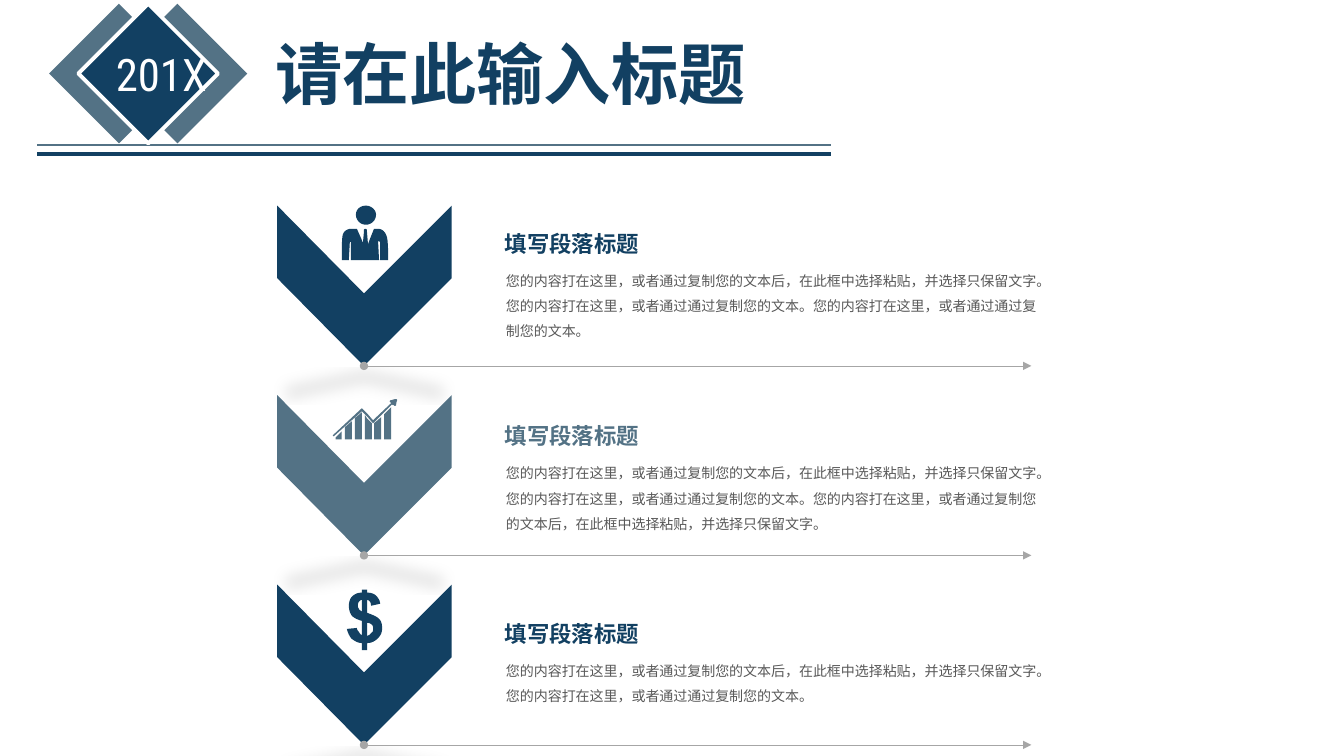
from pptx import Presentation
from pptx.dml.color import RGBColor
from pptx.enum.shapes import MSO_CONNECTOR, MSO_SHAPE
from pptx.enum.text import MSO_AUTO_SIZE
from pptx.oxml.ns import qn
from pptx.util import Inches, Pt
from lxml import etree

STRAIGHT = MSO_CONNECTOR.STRAIGHT
ROUNDED = MSO_SHAPE.ROUNDED_RECTANGLE
GROW = MSO_AUTO_SIZE.SHAPE_TO_FIT_TEXT
COLORS = {"navy": "124062", "slate": "537285", "white": "FFFFFF",
          "body": "595959", "arrow": "A6A6A6"}
HEADING_FONT = "Montserrat"
TEXT_FONT = "Roboto Condensed"
ROW_STEP = 1.88

CHEVRON = ["M 4.48 2.76 L 3.61 3.63 L 2.75 2.76 L 2.75 2.04 L 3.61 2.91 L 4.48 2.04"]
PERSON = [
    """M 3.63 2.27 L 3.64 2.28 L 3.64 2.3 L 3.65 2.42 L 3.63 2.48 L 3.67 2.37 L 3.71 2.27
    L 3.75 2.27 C 3.77 2.27 3.81 2.28 3.83 2.33 C 3.85 2.36 3.85 2.48 3.85 2.58
    L 3.77 2.58 L 3.77 2.4 L 3.75 2.39 L 3.76 2.58 L 3.48 2.58 L 3.48 2.4 L 3.47 2.4
    L 3.46 2.58 L 3.39 2.58 C 3.39 2.48 3.39 2.36 3.4 2.33 C 3.41 2.29 3.45 2.27 3.48 2.27
    L 3.54 2.27 L 3.58 2.36 L 3.6 2.41 L 3.61 2.3 L 3.61 2.28 L 3.62 2.27""",
    """M 3.63 2.04 C 3.68 2.04 3.73 2.08 3.73 2.13 C 3.73 2.19 3.68 2.23 3.63 2.23
    C 3.57 2.23 3.53 2.18 3.53 2.13 C 3.53 2.08 3.57 2.04 3.63 2.04""",
]
GROWTH = [
    "M 3.39 4.28 L 3.39 4.36 L 3.33 4.36 L 3.33 4.34",
    "M 3.49 4.18 L 3.49 4.36 L 3.42 4.36 L 3.42 4.24",
    "M 3.59 4.09 L 3.59 4.36 L 3.52 4.36 L 3.52 4.15",
    "M 3.62 4.12 L 3.64 4.15 L 3.69 4.2 L 3.69 4.36 L 3.62 4.36",
    "M 3.78 4.14 L 3.78 4.36 L 3.71 4.36 L 3.71 4.2",
    "M 3.88 4.04 L 3.88 4.36 L 3.81 4.36 L 3.81 4.11",
    """M 3.92 3.96 C 3.93 3.96 3.94 3.96 3.94 3.97 C 3.93 3.99 3.93 4.01 3.93 4.02
    C 3.92 4.03 3.91 4.03 3.91 4.02 C 3.9 4.02 3.89 4.02 3.89 4.01 L 3.7 4.2 L 3.64 4.13
    L 3.59 4.08 L 3.31 4.33 L 3.3 4.32 L 3.59 4.05 L 3.64 4.1 L 3.7 4.17 L 3.88 4
    L 3.87 3.99 C 3.86 3.98 3.87 3.97 3.88 3.97 C 3.89 3.97 3.91 3.96 3.92 3.96""",
]
DOLLAR = [
    """M 3.59 6.3 L 3.59 6.16 C 3.55 6.15 3.51 6.13 3.49 6.11 C 3.47 6.08 3.46 6.05 3.46 6.01
    C 3.46 5.98 3.47 5.94 3.49 5.92 C 3.52 5.89 3.55 5.88 3.59 5.88 L 3.59 5.85 L 3.64 5.85
    L 3.64 5.88 C 3.68 5.88 3.71 5.89 3.73 5.91 C 3.75 5.93 3.77 5.96 3.77 5.99 L 3.68 6.01
    C 3.68 5.98 3.67 5.96 3.64 5.95 L 3.64 6.08 C 3.7 6.1 3.74 6.12 3.76 6.14
    C 3.78 6.16 3.79 6.19 3.79 6.23 C 3.79 6.27 3.78 6.3 3.75 6.33
    C 3.72 6.36 3.69 6.38 3.64 6.38 L 3.64 6.45 L 3.59 6.45 L 3.59 6.38
    C 3.55 6.38 3.52 6.36 3.49 6.34 C 3.47 6.32 3.45 6.28 3.44 6.24 L 3.54 6.23
    C 3.54 6.25 3.55 6.26 3.56 6.27 C 3.57 6.29 3.58 6.3 3.59 6.3""",
    """M 3.59 5.95 C 3.58 5.95 3.57 5.96 3.56 5.97 C 3.55 5.98 3.55 6 3.55 6.01
    C 3.55 6.02 3.55 6.03 3.56 6.04 C 3.56 6.05 3.58 6.06 3.59 6.07""",
    """M 3.64 6.31 C 3.66 6.3 3.67 6.3 3.68 6.28 C 3.7 6.27 3.7 6.26 3.7 6.24
    C 3.7 6.22 3.7 6.21 3.69 6.2 C 3.68 6.19 3.67 6.18 3.64 6.18""",
]

OPENING = "您的内容打在这里，或者通过复制您的文本后，在此框中选择粘贴，并选择只保留文字。您的内容打在这里，或者通过通过复制您的文本。"
ROWS = [
    ("navy", PERSON, 2.15, 0.86, OPENING + "您的内容打在这里，或者通过通过复制您的文本。"),
    ("slate", GROWTH, 4.06, 0.86,
     OPENING + "您的内容打在这里，或者通过复制您的文本后，在此框中选择粘贴，并选择只保留文字。"),
    ("navy", DOLLAR, 6.02, 0.61, OPENING),
]


def color(name):
    """Return the named colour."""
    return RGBColor.from_string(COLORS[name])


def curve_points(start, controls, steps=6):
    """Return points along a cubic curve after its start."""
    corners = [start, *controls]
    weights = (1, 3, 3, 1)
    return [tuple(sum(weight * (1 - t) ** (3 - i) * t ** i * corner[axis]
                      for i, (weight, corner) in enumerate(zip(weights, corners)))
                  for axis in (0, 1))
            for t in (step / steps for step in range(1, steps + 1))]


def trace(contour):
    """Turn a contour of M, L and C steps into a list of points."""
    points = []
    words = iter(contour.split())
    for command in words:
        count = 3 if command == "C" else 1
        target = [(float(next(words)), float(next(words))) for _ in range(count)]
        points += curve_points(points[-1], target) if command == "C" else target
    return points


def add_outline(page, outline, fill, drop=0):
    """Draw a filled outline, moved down by drop inches."""
    contours = [[(Inches(x), Inches(y + drop)) for x, y in trace(contour)]
                for contour in outline]
    builder = page.shapes.build_freeform(*contours[0][0])
    for index, points in enumerate(contours):
        if index:
            builder.move_to(*points[0])
        builder.add_line_segments(points[1:], close=True)
    shape = builder.convert_to_shape()
    shape.shadow.inherit = False
    shape.fill.solid()
    shape.fill.fore_color.rgb = color(fill)
    shape.line.fill.background()
    return shape


def add_reflected_shadow(shape):
    """Give a shape a soft flattened shadow below it."""
    effects = shape._element.spPr.find(qn("a:effectLst"))
    shadow = etree.SubElement(effects, qn("a:outerShdw"), blurRad="139700", dist="38100",
                              dir="5400000", sx="90000", sy="-19000", rotWithShape="0")
    tint = etree.SubElement(shadow, qn("a:srgbClr"), val="000000")
    etree.SubElement(tint, qn("a:alpha"), val="10000")


def add_diamond(page, left, fill, outlined=False):
    """Add a square turned on its corner."""
    shape = page.shapes.add_shape(ROUNDED, Inches(left), Inches(0.24),
                                  Inches(0.98), Inches(0.98))
    shape.adjustments[0] = 0
    shape.rotation = 45
    shape.shadow.inherit = False
    shape.fill.solid()
    shape.fill.fore_color.rgb = color(fill)
    if outlined:
        shape.line.color.rgb = color("white")
        shape.line.width = Pt(2.75)
    else:
        shape.line.fill.background()


def add_line(page, start, end, y, stroke, width, arrow=False):
    """Add a horizontal line, with a dot and an arrowhead if asked."""
    line = page.shapes.add_connector(STRAIGHT, Inches(start), Inches(y), Inches(end), Inches(y))
    line.line.color.rgb = color(stroke)
    line.line.width = Pt(width)
    properties = line._element.spPr
    if arrow:
        stroke_xml = properties.find(qn("a:ln"))
        etree.SubElement(stroke_xml, qn("a:headEnd"), type="oval")
        etree.SubElement(stroke_xml, qn("a:tailEnd"), type="triangle")
    etree.SubElement(properties, qn("a:effectLst"))


def add_text(page, place, text, size, ink, font=TEXT_FONT, bold=False, wrap=False,
             spacing=None, margin=0.05):
    """Add a text box of one paragraph."""
    box = page.shapes.add_textbox(*map(Inches, place))
    frame = box.text_frame
    frame.text = text
    frame.word_wrap = wrap
    frame.auto_size = GROW
    frame.margin_top = frame.margin_bottom = Inches(margin)
    para = frame.paragraphs[0]
    if spacing:
        para.line_spacing = spacing
    span = para.runs[0]
    span.font.name = font
    span.font.size = Pt(size)
    span.font.bold = bold
    span.font.color.rgb = color(ink)


def add_header(page):
    """Add the year badge, the title and the two rules."""
    add_line(page, 8.24, 0.37, 1.44, "slate", 1)
    add_diamond(page, 1.27, "slate")
    add_diamond(page, 0.69, "slate")
    add_diamond(page, 0.98, "navy", outlined=True)
    add_text(page, (1.05, 0.41, 1.16, 0.64), "201X", 32, "white")
    add_line(page, 8.24, 0.37, 1.53, "navy", 3)
    add_text(page, (2.63, 0.27, 4.94, 0.91), "请在此输入标题", 48, "navy", HEADING_FONT, True)


def add_row(page, index, accent, icon, top, height, body):
    """Add a chevron with its icon, texts and arrow."""
    drop = index * ROW_STEP
    add_reflected_shadow(add_outline(page, CHEVRON, accent, drop))
    add_outline(page, icon, accent)
    add_text(page, (4.92, top + 0.42, 5.47, height), body, 10, "body", wrap=True, spacing=1.5)
    add_text(page, (4.91, top, 1.55, 0.4), "填写段落标题", 16, accent,
             bold=True, spacing=1.5, margin=0)
    add_line(page, 3.61, 10.23, 3.63 + drop, "arrow", 0.5, arrow=True)


def main():
    """Build the slide and save it."""
    deck = Presentation()
    deck.slide_width, deck.slide_height = Inches(13.33), Inches(7.5)
    page = deck.slides.add_slide(deck.slide_layouts[6])
    add_header(page)
    for index, row in enumerate(ROWS):
        add_row(page, index, *row)
    deck.save("out.pptx")


if __name__ == "__main__":
    main()
